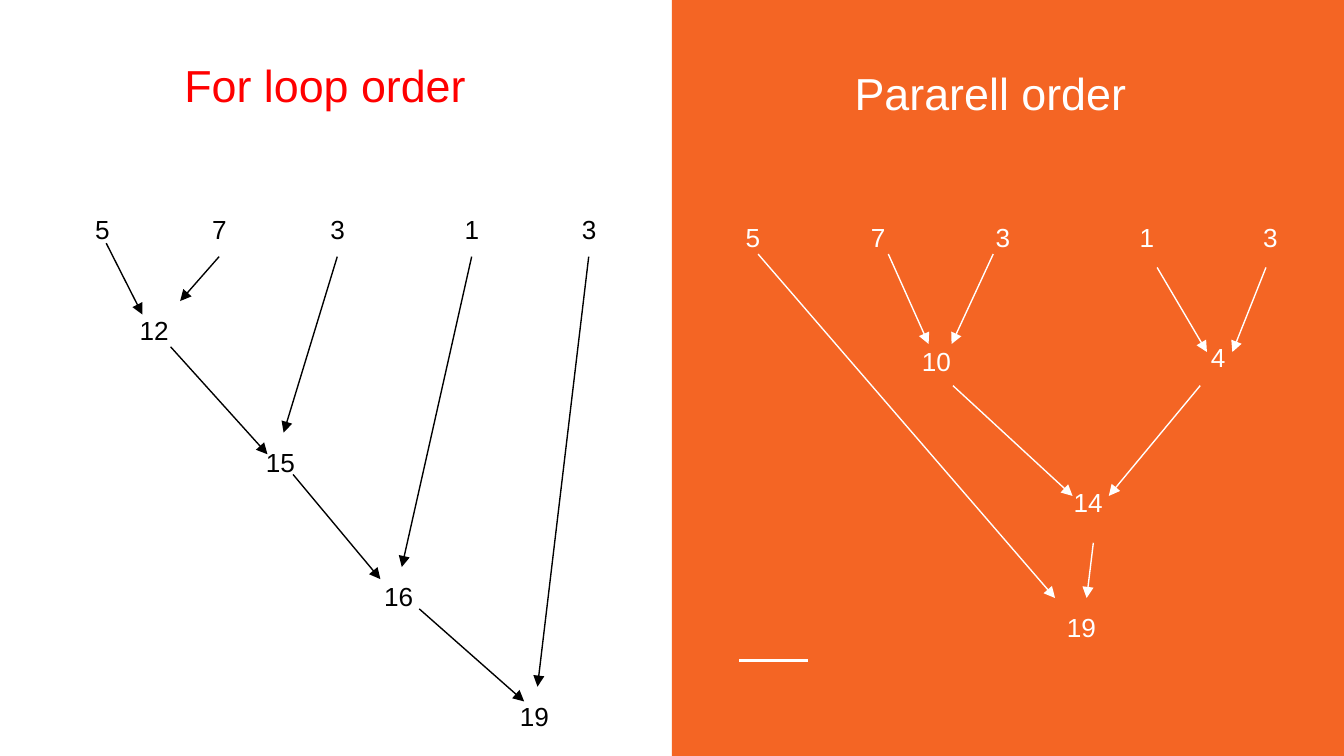
from lxml import etree
from pptx import Presentation
from pptx.dml.color import RGBColor
from pptx.enum.shapes import MSO_CONNECTOR, MSO_SHAPE
from pptx.enum.text import PP_ALIGN
from pptx.oxml.ns import qn
from pptx.util import Pt

STRAIGHT = MSO_CONNECTOR.STRAIGHT
RECTANGLE = MSO_SHAPE.RECTANGLE
LEFT, CENTER = PP_ALIGN.LEFT, PP_ALIGN.CENTER
TOP, BOTTOM = 0, 2
WHITE, BLACK, RED, ORANGE = "FFFFFF", "000000", "FF0000", "F46524"


def color(value):
    return RGBColor.from_string(value)


class Page:
    font = "Arial"
    inset = 7.2

    def __init__(self, deck):
        self.shapes = deck.slides.add_slide(deck.slide_layouts[6]).shapes

    def panel(self, left, top, width, height, fill):
        panel = self.shapes.add_shape(RECTANGLE, Pt(left), Pt(top), Pt(width), Pt(height))
        panel.shadow.inherit = False
        panel.fill.solid()
        panel.fill.fore_color.rgb = color(fill)
        panel.line.fill.background()

    def text(self, label, left, top, width, height, ink, size=14, align=LEFT):
        box = self.shapes.add_textbox(Pt(left), Pt(top), Pt(width), Pt(height))
        frame = box.text_frame
        frame.word_wrap = True
        for side in ("left", "top", "right", "bottom"):
            setattr(frame, f"margin_{side}", Pt(self.inset))
        para = frame.paragraphs[0]
        para.alignment = align
        span = para.add_run()
        span.text = label
        for name, value in {"name": self.font, "size": Pt(size)}.items():
            setattr(span.font, name, value)
        span.font.color.rgb = color(ink)
        return box

    def line(self, start, end, ink, width=0.75, arrow=False):
        """Each end is an (x, y) point or a box; boxes join bottom to top."""
        points = [end_point if isinstance(end_point, tuple) else (0, 0)
                  for end_point in (start, end)]
        line = self.shapes.add_connector(
            STRAIGHT, *(Pt(value) for point in points for value in point))
        if not isinstance(start, tuple):
            line.begin_connect(start, BOTTOM)
        if not isinstance(end, tuple):
            line.end_connect(end, TOP)
        line.line.color.rgb = color(ink)
        line.line.width = Pt(width)
        if arrow:
            etree.SubElement(line.line._get_or_add_ln(), qn("a:tailEnd"), type="triangle")
        etree.SubElement(line._element.spPr, qn("a:effectLst"))

    def tree(self, inputs, input_frame, sums, arrows, ink):
        top, width, height = input_frame
        boxes = {name: self.text(name[0], left, top, width, height, ink)
                 for name, left in inputs.items()}
        for label, (*frame, align) in sums.items():
            boxes[label] = self.text(label, *frame, ink, align=align)
        for ends in arrows:
            start, end = (boxes[e] if isinstance(e, str) else e for e in ends)
            self.line(start, end, ink, arrow=True)


deck = Presentation()
deck.slide_width, deck.slide_height = Pt(720), Pt(405)
page = Page(deck)

# Right half and its accent rule
page.panel(360, 0, 360, 405, ORANGE)
page.line((396, 354), (432.7, 354), WHITE, width=1.5)

# Titles
page.text("For loop order ", 44.6, 23.8, 265.7, 41, RED, 24, CENTER)
page.text("Pararell order ", 401, 28.1, 265.7, 41, WHITE, 24, CENTER)

# Parallel reduction
page.tree(
    inputs={"5": 392.4, "7": 459.4, "3 first": 526.3, "1": 603.4, "3 last": 669.6},
    input_frame=(111.6, 22.3, 37.4),
    sums={
        "10": (486.7, 177.8, 35.3, 33.1, LEFT),
        "4": (635, 175.7, 35.3, 37.4, CENTER),
        "14": (568.1, 253.4, 35.3, 37.4, LEFT),
        "19": (564.5, 320.4, 35.3, 37.4, LEFT),
    },
    arrows=[
        ((619.9, 143.3), (646.6, 188.6)),
        ((678.2, 143.3), (660.2, 188.6)),
        ((475.9, 136.1), (497.5, 184.3)),
        ((532.1, 136.1), (509.8, 184.3)),
        ((510.5, 206.6), (574.6, 265.7)),
        ((643, 206.6), (594, 265.7)),
        ((406.1, 136.1), (565.2, 320.4)),
        ("14", "19"),
    ],
    ink=WHITE,
)

# Sequential reduction
page.tree(
    inputs={"5": 43.9, "7": 106.6, "3 first": 169.9, "1": 241.9, "3 last": 304.6},
    input_frame=(107.3, 21.6, 30.2),
    sums={
        "12": (67.7, 161.3, 33.1, 26.6, LEFT),
        "15": (135.4, 231.8, 33.1, 30.2, LEFT),
        "16": (198.7, 303.8, 33.1, 30.2, LEFT),
        "19": (271.4, 367.9, 33.1, 30.2, LEFT),
    },
    arrows=[
        ("3 first", "15"),
        ((91.4, 185.8), (143.3, 243.4)),
        ("7", (96.5, 161.3)),
        ("1", "16"),
        ((157, 254.2), (203.8, 310.3)),
        ("3 last", "19"),
        ((224.6, 326.2), (280.8, 375.8)),
        ((56.9, 130.3), (76.3, 168.5)),
    ],
    ink=BLACK,
)

deck.save("out.pptx")
